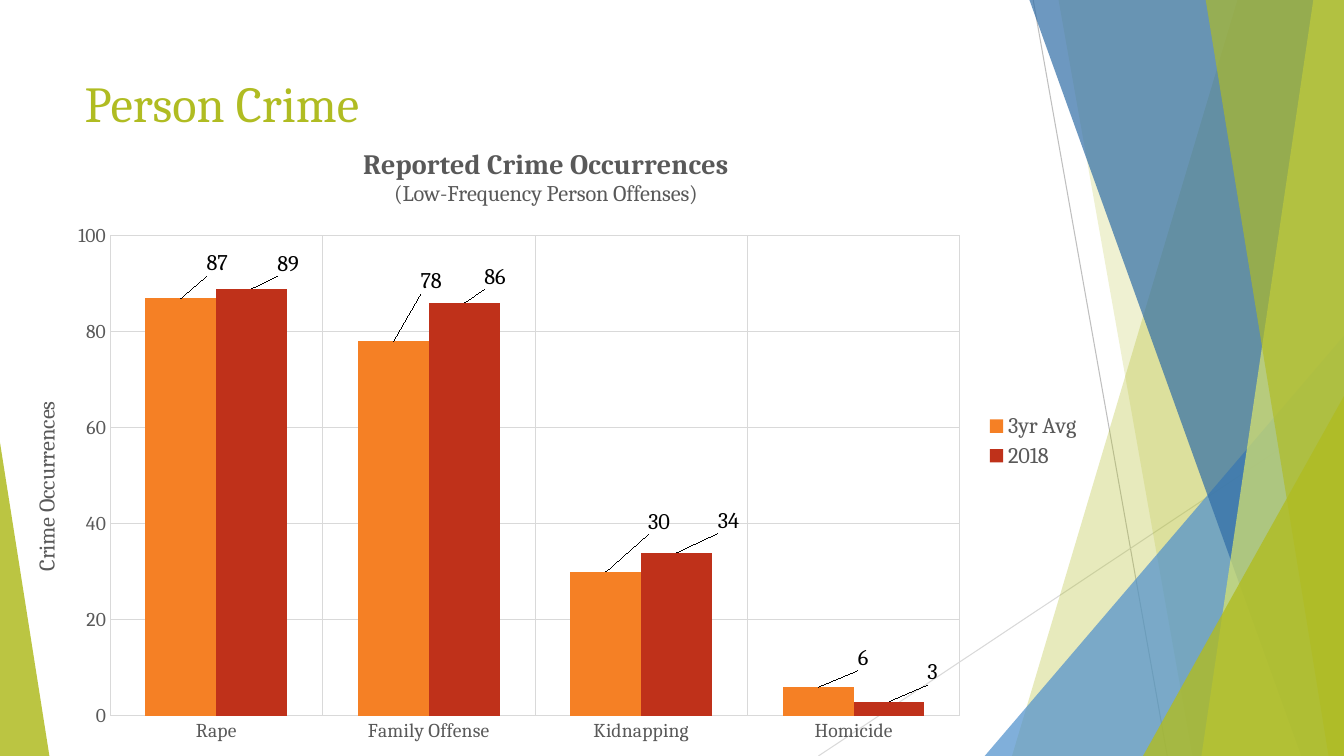
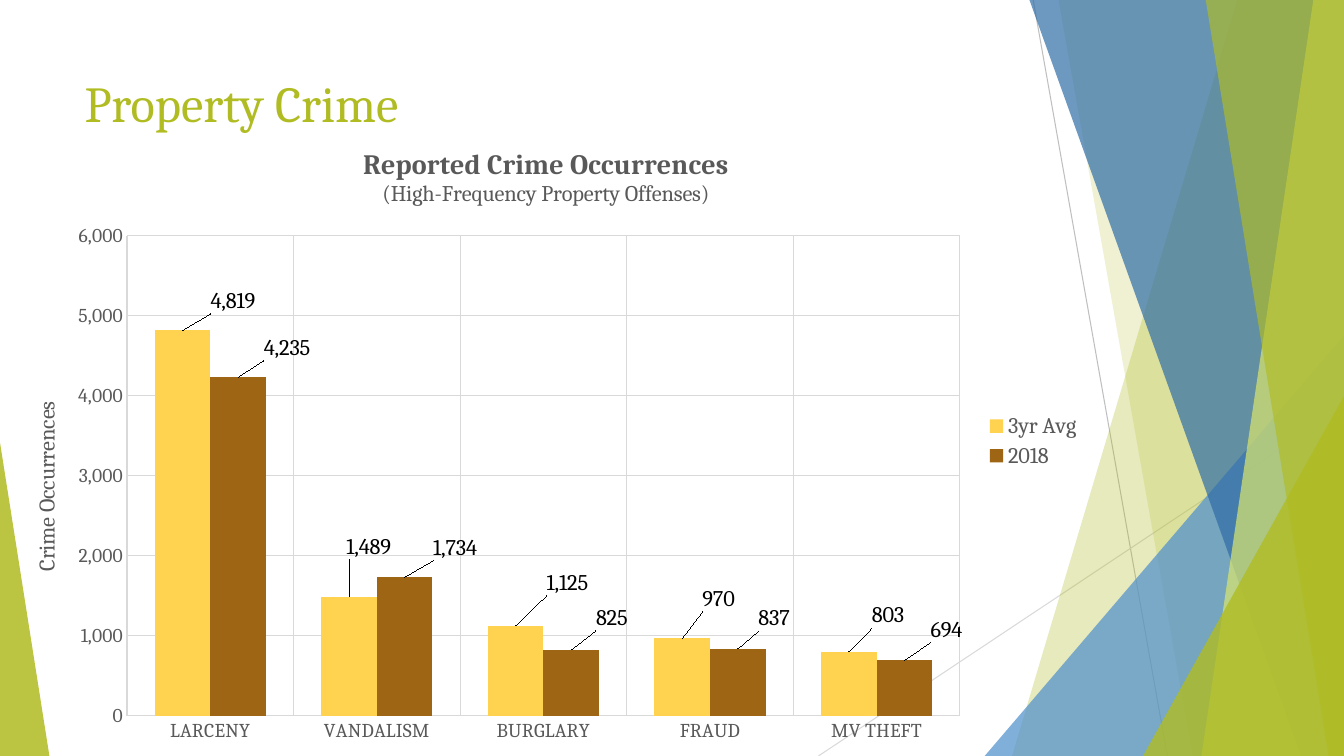
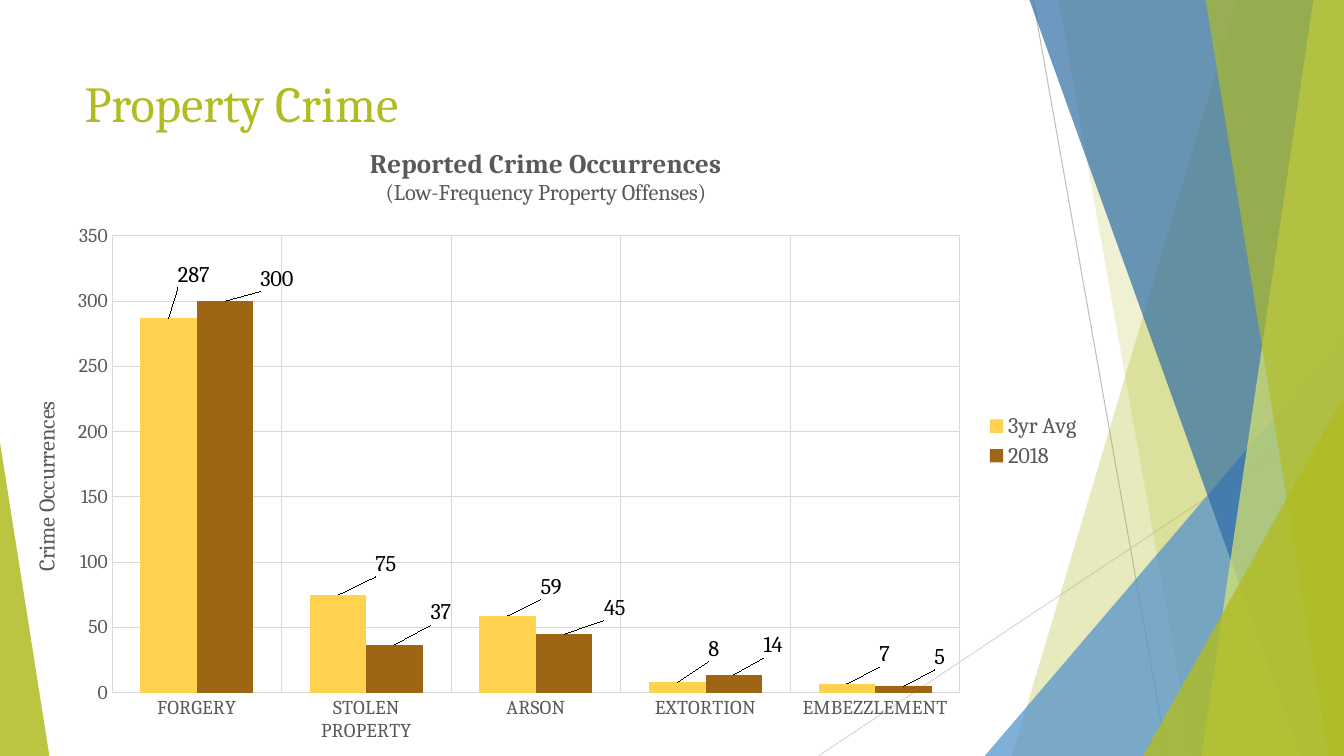
import pptx
import pptx.chart.data
import pptx.dml.color
import pptx.enum.chart
import pptx.enum.shapes
import pptx.enum.text
import pptx.oxml
import pptx.oxml.ns
import pptx.util

Pt = pptx.util.Pt
RGB = pptx.dml.color.RGBColor
qn = pptx.oxml.ns.qn
Kind = pptx.enum.chart

LIME = RGB(0xB0, 0xBC, 0x22)
PALE = RGB(0xDB, 0xE5, 0x6D)
SKY = RGB(0x50, 0x91, 0xCD)
BLUE = RGB(0x30, 0x6D, 0xA6)
ORANGE = RGB(0xF5, 0x80, 0x25)
RED = RGB(0xBF, 0x31, 0x1A)
GOLD = RGB(0xFF, 0xD2, 0x4F)
BROWN = RGB(0x9E, 0x66, 0x14)
GREY = RGB(0x59, 0x59, 0x59)
SILVER = RGB(0xBF, 0xBF, 0xBF)
MIST = RGB(0xD9, 0xD9, 0xD9)
BLACK = RGB(0, 0, 0)

WIDE, HIGH = 960, 540
CHART_W, CHART_H = 780, 450
PLOT_TOP, PLOT_RIGHT = 78.5, 685.7


def put(item, values):
    for name, value in values.items():
        setattr(item, name, value)


def xml(tag, body):
    spaces = pptx.oxml.ns.nsdecls("c", "a")
    return pptx.oxml.parse_xml(f"<{tag} {spaces}>{body}</{tag}>")


def place(node, index, values):
    body = "".join(f'<c:{key} val="{val}"/>' for key, val in values.items())
    new = xml("c:layout", f"<c:manualLayout>{body}</c:manualLayout>")
    old = node.find(qn("c:layout"))
    if old is None:
        node.insert(index, new)
    else:
        node.replace(old, new)


def share(x, y):
    return round(x / CHART_W, 4), round(y / CHART_H, 4)


class Deck:
    face = "Cambria"

    def __init__(self):
        self.show = pptx.Presentation()
        put(self.show, {"slide_width": Pt(WIDE), "slide_height": Pt(HIGH)})
        self.base = self.show.slide_layouts[5]
        for holder in list(self.base.placeholders)[1:]:
            self.base.shapes.element.remove(holder.element)

    def font(self, font, size, color, bold=False):
        put(font, {"name": self.face, "size": Pt(size), "bold": bold})
        font.color.rgb = color

    def open(self, text):
        self.slide = self.show.slides.add_slide(self.base)
        if len(self.show.slides) == 1:
            self.decor()
        title = self.slide.shapes.title
        put(title, {"left": Pt(53.3), "top": Pt(48.2),
                    "width": Pt(676.8), "height": Pt(103.7)})
        frame = title.text_frame
        put(frame, {"text": text, "word_wrap": True,
                    "vertical_anchor": pptx.enum.text.MSO_ANCHOR.TOP})
        para = frame.paragraphs[0]
        para.alignment = pptx.enum.text.PP_ALIGN.LEFT
        self.font(para.runs[0].font, 36, LIME)

    def line(self, x1, y1, x2, y2, color):
        link = self.slide.shapes.add_connector(
            pptx.enum.shapes.MSO_CONNECTOR.STRAIGHT, Pt(x1), Pt(y1), Pt(x2), Pt(y2))
        link.line.color.rgb = color
        link.line.width = Pt(0.75)
        link.element.spPr.append(xml("a:effectLst", ""))
        return link

    def tint(self, shape, color, alpha):
        shape.shadow.inherit = False
        shape.fill.solid()
        shape.fill.fore_color.rgb = color
        shape.line.fill.background()
        for node in shape.element.iter(qn("a:srgbClr")):
            node.append(pptx.oxml.parse_xml(
                f'<a:alpha {pptx.oxml.ns.nsdecls("a")} val="{alpha * 1000}"/>'))
        return shape

    def band(self, top, foot, color, alpha):
        path = self.slide.shapes.build_freeform(Pt(top), Pt(-0.7))
        path.add_line_segments([(Pt(WIDE), Pt(-0.7)), (Pt(WIDE), Pt(HIGH)),
                                (Pt(foot), Pt(HIGH))], close=True)
        return self.tint(path.convert_to_shape(), color, alpha)

    def wedge(self, left, top, width, peak, color, alpha):
        shape = self.slide.shapes.add_shape(
            pptx.enum.shapes.MSO_SHAPE.ISOSCELES_TRIANGLE,
            Pt(left), Pt(top), Pt(width), Pt(HIGH - top))
        shape.adjustments[0] = peak
        return self.tint(shape, color, alpha)

    def decor(self):
        parts = [
            self.line(738, 0, 833.8, HIGH, SILVER),
            self.line(WIDE, 290.2, 584.6, HIGH, MIST),
            self.band(884.2, 722.9, LIME, 30),
            self.band(756, 851.8, LIME, 20),
            self.wedge(703.4, 239.8, 256.6, 1, SKY, 72),
            self.band(735.1, 929.5, BLUE, 70),
            self.band(938.2, 858.2, PALE, 70),
            self.band(861.1, 949, LIME, 65),
            self.wedge(816.5, 283, 143.5, 1, LIME, 80),
            self.wedge(0, 316.1, 35.3, 0, LIME, 85),
        ]
        for part in parts:
            self.base.shapes.element.append(part.element)

    def heads(self, frame, rows):
        for num, (text, size, bold) in enumerate(rows):
            para = frame.add_paragraph() if num else frame.paragraphs[0]
            run = para.add_run()
            run.text = text
            self.font(run.font, size, GREY, bold)

    def axis(self, axis):
        put(axis, {"has_major_gridlines": True,
                   "major_tick_mark": Kind.XL_TICK_MARK.NONE,
                   "minor_tick_mark": Kind.XL_TICK_MARK.NONE})
        self.font(axis.tick_labels.font, 14, GREY)
        for edge in (axis.major_gridlines.format.line, axis.format.line):
            edge.color.rgb = MIST
            edge.width = Pt(0.75)

    def labels(self, series, node, color, shifts):
        put(series.data_labels, {"show_value": True, "number_format": "#,##0",
                                 "number_format_is_linked": False})
        self.font(series.data_labels.font, 16, BLACK)
        for num in range(len(shifts)):
            label = series.points[num].data_label
            label.position = Kind.XL_LABEL_POSITION.OUTSIDE_END
            self.font(label.font, 16, BLACK)
        box = ('<a:solidFill><a:srgbClr val="FFFFFF"/></a:solidFill>'
               f'<a:ln w="{Pt(1)}"><a:solidFill><a:srgbClr val="{color}"/>'
               '</a:solidFill></a:ln>')
        for tag, shift in zip(list(node.iter(qn("c:dLbl"))), shifts):
            x, y = share(*shift)
            place(tag, 1, {"x": x, "y": y})
            tag.insert(2, xml("c:spPr", box))

    def chart(self, note, cats, rows, colors, shifts, peak, step, left, foot, size=20):
        data = pptx.chart.data.CategoryChartData(number_format="#,##0")
        data.categories = cats
        for name, vals in zip(("3yr Avg", "2018"), rows):
            data.add_series(name, vals)
        chart = self.slide.shapes.add_chart(
            Kind.XL_CHART_TYPE.COLUMN_CLUSTERED, Pt(0), Pt(90),
            Pt(CHART_W), Pt(CHART_H), data).chart
        self.font(chart.font, 16, BLACK)
        root = chart.element.find(qn("c:chart"))
        root.addnext(xml("c:spPr", "<a:noFill/><a:ln><a:noFill/></a:ln>"))
        put(chart, {"has_title": True, "has_legend": True})
        self.heads(chart.chart_title.text_frame,
                   [("Reported Crime Occurrences", size, True), (note, 16, False)])
        put(chart.legend, {"position": Kind.XL_LEGEND_POSITION.RIGHT,
                           "include_in_layout": False})
        self.font(chart.legend.font, 16, GREY)

        scale = chart.value_axis
        self.axis(chart.category_axis)
        self.axis(scale)
        scale.format.line.fill.background()
        put(scale, {"minimum_scale": 0, "maximum_scale": peak,
                    "major_unit": step, "has_title": True})
        put(scale.tick_labels, {"number_format": "#,##0",
                                "number_format_is_linked": False})
        self.heads(scale.axis_title.text_frame, [("Crime Occurrences", 16, False)])
        name = root.find(".//" + qn("c:valAx")).find(qn("c:title"))
        for body in name.iter(qn("a:bodyPr")):
            body.set("rot", "-5400000")
            body.set("vert", "horz")
        x, y = share(20, 194)
        place(name, 1, {"xMode": "edge", "yMode": "edge", "x": x, "y": y})

        x, y = share(left, PLOT_TOP)
        w, h = share(PLOT_RIGHT - left, foot - PLOT_TOP)
        place(root.find(qn("c:plotArea")), 0,
              {"layoutTarget": "inner", "xMode": "edge", "yMode": "edge",
               "x": x, "y": y, "w": w, "h": h})

        plot = chart.plots[0]
        put(plot, {"gap_width": 100, "overlap": 0, "vary_by_categories": False})
        nodes = list(root.iter(qn("c:ser")))
        for series, node, color, moves in zip(plot.series, nodes, colors, shifts):
            series.format.fill.solid()
            series.format.fill.fore_color.rgb = color
            self.labels(series, node, color, moves)


deck = Deck()

deck.open("Person Crime")
deck.chart(
    "(Low-Frequency Person Offenses)",
    ["Rape", "Family Offense", "Kidnapping", "Homicide"],
    [(87, 78, 30, 6), (89, 86, 34, 3)], (ORANGE, RED),
    [[(26, -13), (27, -31), (38, -24), (32, -9)],
     [(26, -6), (22, -7), (37, -11), (31, -9)]],
    peak=100, step=20, left=78.6, foot=421.5)

deck.open("Property Crime")
deck.chart(
    "(High-Frequency Property Offenses)",
    ["LARCENY", "VANDALISM", "BURGLARY", "FRAUD", "MV THEFT"],
    [(4819, 1489, 1125, 970, 803), (4235, 1734, 825, 837, 694)], (GOLD, BROWN),
    [[(36, -9), (14, -24), (37, -19), (26, -16), (28, -14)],
     [(35, -9), (36, -9), (29, -11), (26, -10), (30, -10)]],
    peak=6000, step=1000, left=90.7, foot=421.5)

deck.open("Property Crime")
deck.chart(
    "(Low-Frequency Property Offenses)",
    ["FORGERY", "STOLEN PROPERTY", "ARSON", "EXTORTION", "EMBEZZLEMENT"],
    [(287, 75, 59, 8, 7), (300, 37, 45, 14, 5)], (GOLD, BROWN),
    [[(18, -19), (34, -10), (31, -9), (26, -12), (27, -9)],
     [(37, -4), (33, -11), (36, -7), (28, -9), (26, -9)]],
    peak=350, step=50, left=80, foot=405, size=19.2)

deck.show.save("out.pptx")
